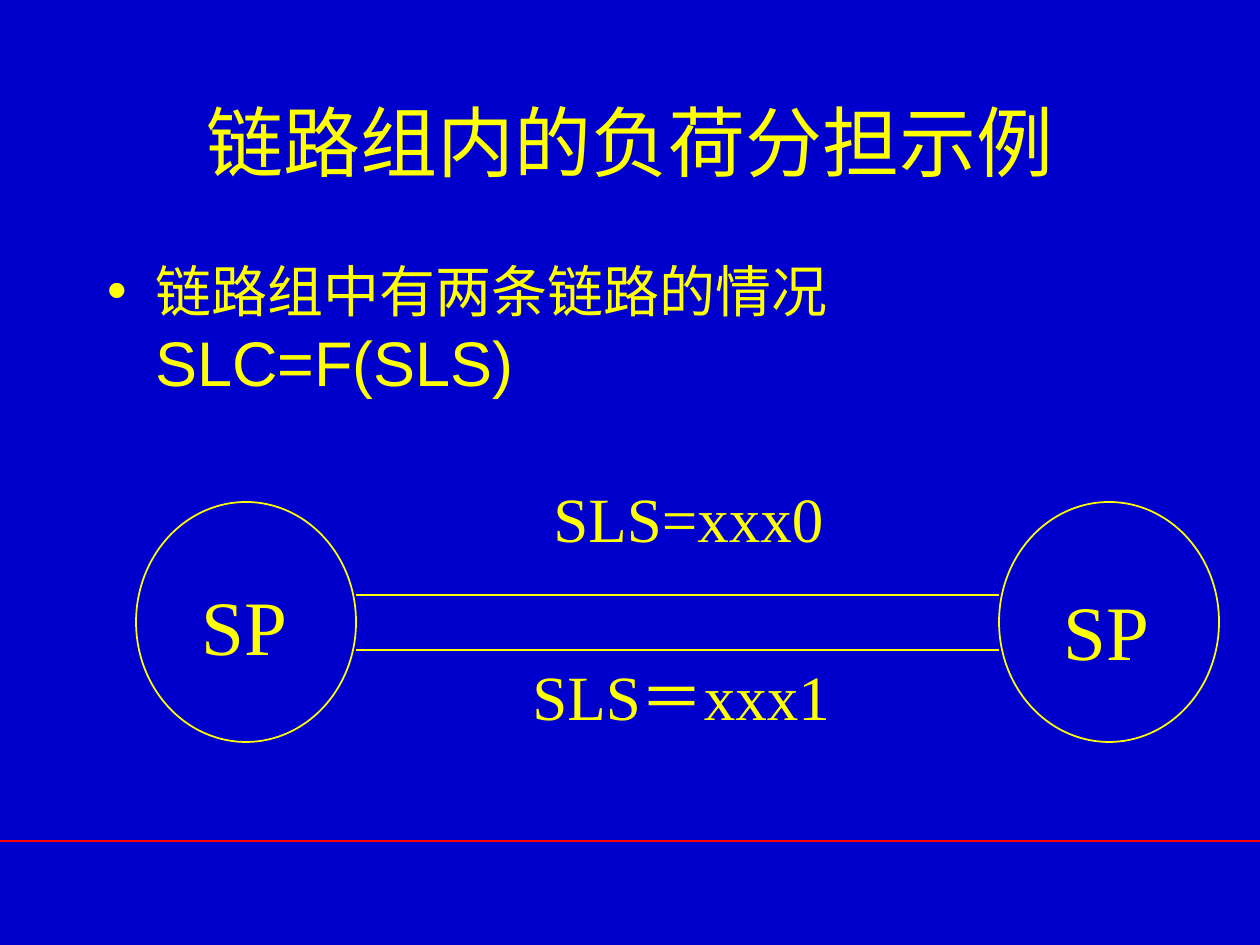
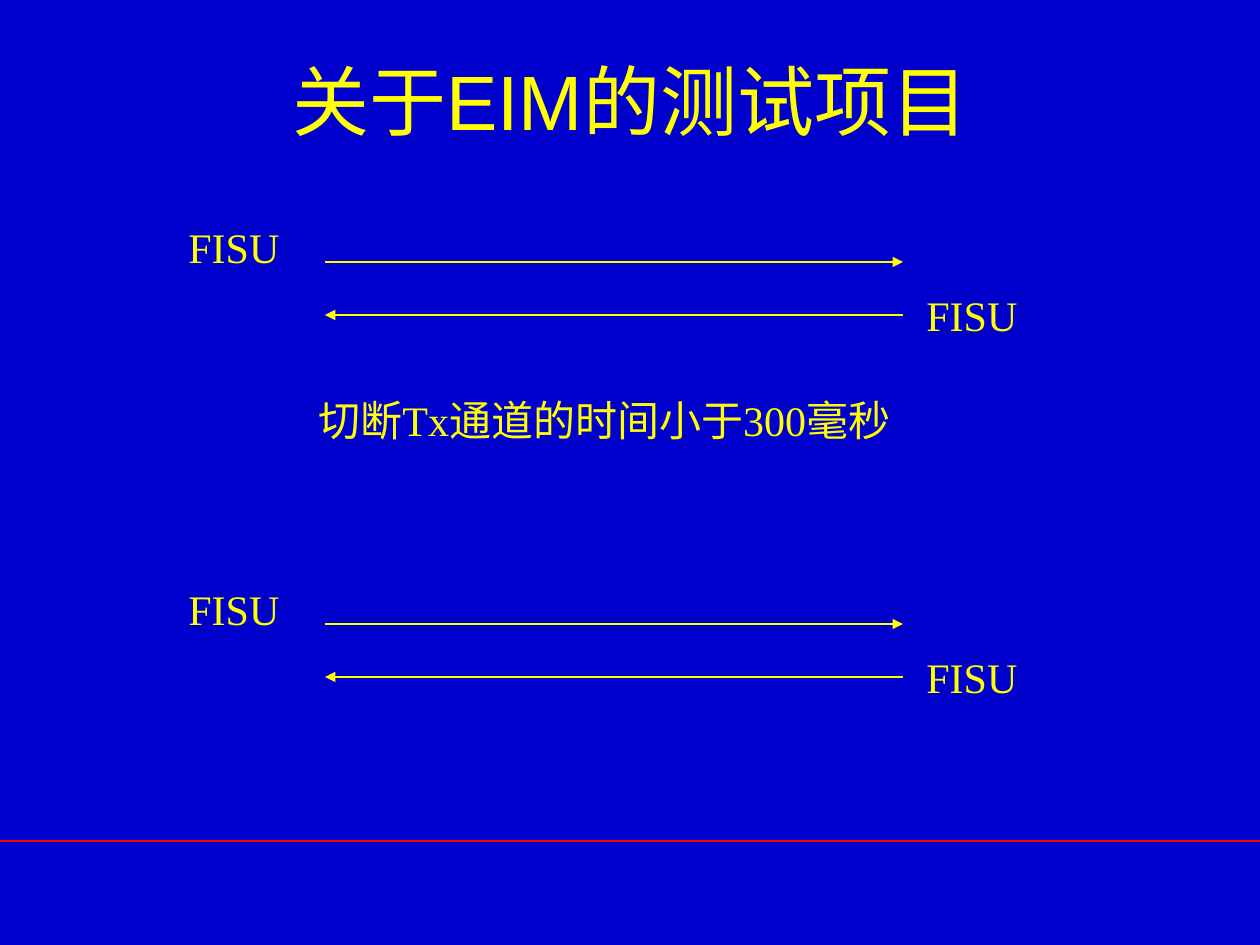
"""Build two slides on link load sharing and EIM test items."""
from dataclasses import dataclass

from lxml.etree import SubElement
from pptx import Presentation
from pptx.dml.color import RGBColor
from pptx.enum.shapes import MSO_CONNECTOR, MSO_SHAPE
from pptx.enum.text import MSO_ANCHOR, PP_ALIGN
from pptx.oxml.ns import qn
from pptx.util import Emu, Pt


@dataclass(frozen=True)
class Theme:
    background: RGBColor = RGBColor(0x00, 0x00, 0xCC)
    ink: RGBColor = RGBColor(0xFF, 0xFF, 0x00)
    rule: RGBColor = RGBColor(0xFF, 0x00, 0x00)
    heading_font: str = "Arial"
    label_font: str = "Times New Roman"
    title_size: int = 44
    formula_size: int = 36
    bullet_size: int = 32
    label_size: int = 24
    outline: float = 1
    arrow_line: float = 0.75


THEME = Theme()
EMU_PER_PX = 914400 / 126
PAGE_WIDTH, PAGE_HEIGHT = 1260, 945
MARGIN, CONTENT_WIDTH = 95, 1071


def px(length):
    return Emu(round(length * EMU_PER_PX))


def add_text(page, text, left, top, width, height, *, size=THEME.label_size,
             font=THEME.label_font, align=PP_ALIGN.LEFT,
             anchor=MSO_ANCHOR.TOP, wrap=False, bullet_indent=0):
    box = page.shapes.add_textbox(px(left), px(top), px(width), px(height))
    frame = box.text_frame
    frame.word_wrap = wrap
    frame.vertical_anchor = anchor
    para = frame.paragraphs[0]
    para.alignment = align
    if bullet_indent:
        add_bullet(para, bullet_indent)
    lines = [(text, size)] if isinstance(text, str) else text
    for index, (line, line_size) in enumerate(lines):
        if index:
            para.add_line_break()
        span = para.add_run()
        span.text = line
        span.font.size = Pt(line_size)
        span.font.name = font
        span.font.color.rgb = THEME.ink
    return box


def add_bullet(para, indent):
    properties = para._p.get_or_add_pPr()
    properties.set("marL", str(px(indent)))
    properties.set("indent", str(-px(indent)))
    color = SubElement(properties, qn("a:buClr"))
    SubElement(color, qn("a:srgbClr")).set("val", str(THEME.ink))
    SubElement(properties, qn("a:buFont")).set("typeface", THEME.heading_font)
    SubElement(properties, qn("a:buChar")).set("char", "•")


def add_line(page, start_x, end_x, y, *, color=THEME.ink,
             width=THEME.outline, arrow=False):
    line = page.shapes.add_connector(
        MSO_CONNECTOR.STRAIGHT, px(start_x), px(y), px(end_x), px(y))
    line.line.color.rgb = color
    line.line.width = Pt(width)
    if arrow:
        outline = line.line._get_or_add_ln()
        SubElement(outline, qn("a:tailEnd")).set("type", "triangle")
    SubElement(line._element.spPr, qn("a:effectLst"))


def add_signalling_point(page, left, label_left, label_top):
    circle = page.shapes.add_shape(
        MSO_SHAPE.OVAL, px(left), px(502), px(220), px(240))
    circle.shadow.inherit = False
    circle.fill.background()
    circle.line.color.rgb = THEME.ink
    circle.line.width = Pt(THEME.outline)
    add_text(page, "SP", label_left, label_top, 111, 106,
             size=THEME.title_size)


def add_exchange(page, top):
    left, right = 325, 903
    add_line(page, left, right, top + 47, width=THEME.arrow_line, arrow=True)
    add_line(page, right, left, top + 100, width=THEME.arrow_line, arrow=True)
    add_text(page, "FISU", 176, top, 116, 63)
    add_text(page, "FISU", 914, top + 68, 116, 63)


def add_page(deck, title, title_top):
    page = deck.slides.add_slide(deck.slide_layouts[6])
    add_line(page, 0, PAGE_WIDTH, 841, color=THEME.rule)
    add_text(page, title, MARGIN, title_top, CONTENT_WIDTH, 158,
             size=THEME.title_size, font=THEME.heading_font,
             align=PP_ALIGN.CENTER, anchor=MSO_ANCHOR.MIDDLE, wrap=True)
    return page


def build_load_sharing(deck):
    page = add_page(deck, "链路组内的负荷分担示例", 62)
    add_text(page, [("链路组中有两条链路的情况", THEME.bullet_size),
                    ("SLC=F(SLS)", THEME.formula_size)],
             MARGIN, 250, CONTENT_WIDTH, 567, font=THEME.heading_font,
             wrap=True, bullet_indent=48)
    add_signalling_point(page, 136, 189, 572)
    add_signalling_point(page, 999, 1051, 577)
    for link_y in (595, 650):
        add_line(page, 356, 999, link_y)
    add_text(page, "SLS=xxx0", 541, 473, 295, 88, size=THEME.formula_size)
    add_text(page, "SLS＝xxx1", 520, 651, 353, 88, size=THEME.formula_size)


def build_eim_tests(deck):
    page = add_page(deck, "关于EIM的测试项目", 21)
    for exchange_top in (215, 577):
        add_exchange(page, exchange_top)
    add_text(page, "切断Tx通道的时间小于300毫秒", 306, 388, 636, 63)


def main():
    deck = Presentation()
    deck.slide_width, deck.slide_height = px(PAGE_WIDTH), px(PAGE_HEIGHT)
    fill = deck.slide_master.background.fill
    fill.solid()
    fill.fore_color.rgb = THEME.background
    build_load_sharing(deck)
    build_eim_tests(deck)
    deck.save("out.pptx")


if __name__ == "__main__":
    main()
